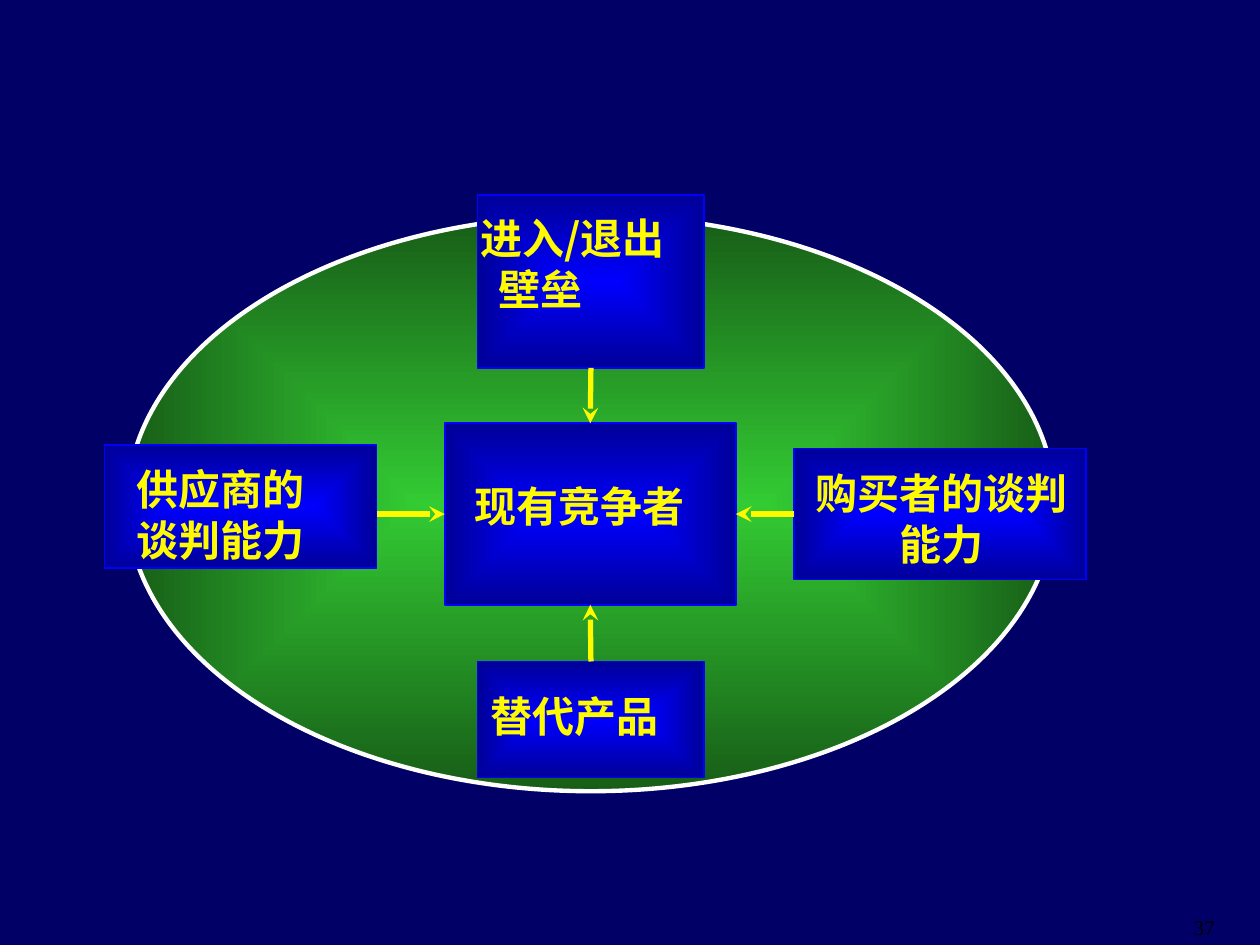
import pptx
import pptx.dml.color
import pptx.enum.shapes
import pptx.enum.text
import pptx.oxml
import pptx.oxml.ns
import pptx.util
from pptx.util import Inches

FONT = "Noto Sans CJK SC"
COLORS = {
    "background": "000066", "market_center": "33CB33", "market_edge": "175D17",
    "outline": "FFFFFF", "box_center": "0000FE", "box_edge": "000099",
    "accent": "FEFB00", "shadow": "000000", "number": "000000",
}
SHAPES = pptx.enum.shapes.MSO_SHAPE
ALIGN = pptx.enum.text.PP_ALIGN
TOP, LEFT, BOTTOM, RIGHT = range(4)

# Left, top, width, height of each box
BOXES = {
    "suppliers": (0.83, 3.53, 2.16, 0.98),
    "buyers": (6.3, 3.56, 2.32, 1.04),
    "barriers": (3.79, 1.55, 1.8, 1.37),
    "substitutes": (3.79, 5.25, 1.8, 0.92),
    "competitors": (3.53, 3.36, 2.31, 1.44),
}


def rgb(name):
    return pptx.dml.color.RGBColor.from_string(COLORS[name])


def xml(text):
    """Parse one element that uses the a: prefix."""
    namespace = pptx.oxml.ns.nsdecls("a")
    return pptx.oxml.parse_xml(f"<a:root {namespace}>{text}</a:root>")[0]


def add_glowing_shape(slide, kind, box, center, edge, line, line_width):
    """Add a shape whose gradient runs from its center to its edge."""
    shape = slide.shapes.add_shape(kind, *map(Inches, box))
    shape.shadow.inherit = False
    shape.line.color.rgb = rgb(line)
    shape.line.width = pptx.util.Pt(line_width)
    gradient = xml(
        '<a:gradFill rotWithShape="1"><a:gsLst>'
        f'<a:gs pos="0"><a:srgbClr val="{COLORS[center]}"/></a:gs>'
        f'<a:gs pos="100000"><a:srgbClr val="{COLORS[edge]}"/></a:gs></a:gsLst>'
        '<a:path path="rect"><a:fillToRect l="50000" t="50000" r="50000" b="50000"/>'
        '</a:path></a:gradFill>')
    shape._element.spPr.find(pptx.oxml.ns.qn("a:prstGeom")).addnext(gradient)
    return shape


def add_text(slide, lines, box, size=24, font=FONT, color="accent", bold=True,
             align=ALIGN.LEFT, spacing=None, after=0, indent=0, shadow=True):
    """Add one paragraph per line; indent applies to the lines after the first."""
    frame = slide.shapes.add_textbox(*map(Inches, box)).text_frame
    frame.word_wrap = True
    frame.margin_left = frame.margin_right = frame.margin_top = frame.margin_bottom = 0
    for index, line in enumerate(lines):
        paragraph = frame.paragraphs[0] if index == 0 else frame.add_paragraph()
        paragraph.alignment = align
        paragraph.line_spacing = spacing
        paragraph.space_after = pptx.util.Pt(after)
        if index and indent:
            properties = paragraph._p.get_or_add_pPr()
            properties.set("marL", str(Inches(indent)))
            properties.set("indent", "0")
        run = paragraph.add_run()
        run.text = line
        run.font.size = pptx.util.Pt(size)
        run.font.bold = bold
        run.font.color.rgb = rgb(color)
        run.font.name = font
        properties = run._r.get_or_add_rPr()
        latin = properties.find(pptx.oxml.ns.qn("a:latin"))
        latin.addnext(xml(f'<a:ea typeface="{font}"/>'))
        if shadow:
            latin.addprevious(xml(
                '<a:effectLst><a:outerShdw dist="25400" dir="2700000">'
                f'<a:srgbClr val="{COLORS["shadow"]}"/></a:outerShdw></a:effectLst>'))


def add_arrow(slide, start, target, target_side, source=None, source_side=None):
    """Draw an arrow into a side of the target, from a point or a side of the source."""
    x, y = map(Inches, start)
    arrow = slide.shapes.add_connector(
        pptx.enum.shapes.MSO_CONNECTOR.STRAIGHT, x, y, x, y)
    if source is not None:
        arrow.begin_connect(source, source_side)
    arrow.end_connect(target, target_side)
    arrow.line.color.rgb = rgb("accent")
    arrow.line.width = pptx.util.Pt(3)
    arrow.line._get_or_add_ln().append(xml('<a:tailEnd type="stealth"/>'))
    arrow._element.spPr.append(xml("<a:effectLst/>"))


def add_forces(slide):
    boxes = {
        name: add_glowing_shape(slide, SHAPES.RECTANGLE, box,
                                "box_center", "box_edge", "box_center", 1)
        for name, box in BOXES.items()
    }
    center = boxes["competitors"]
    add_arrow(slide, (2.99, 4.08), center, LEFT)
    add_arrow(slide, (6.3, 4.08), center, RIGHT, boxes["buyers"], LEFT)
    add_arrow(slide, (4.69, 5.25), center, BOTTOM, boxes["substitutes"], TOP)
    add_arrow(slide, (4.69, 2.92), center, TOP, boxes["barriers"], BOTTOM)


def add_labels(slide):
    stacked = {"spacing": 0.5, "after": 15}
    add_text(slide, ["替代产品"], (3.89, 5.48, 1.54, 0.4))
    add_text(slide, ["现有竞争者"], (3.77, 3.81, 1.97, 0.4))
    add_text(slide, ["进入/退出", "壁垒"], (3.81, 1.86, 1.85, 0.61), indent=0.15, **stacked)
    add_text(slide, ["供应商的", "谈判能力"], (0.83, 3.85, 1.84, 0.61),
             align=ALIGN.CENTER, **stacked)
    add_text(slide, ["购买者的谈判", "能力"], (6.29, 3.88, 2.36, 0.61),
             align=ALIGN.CENTER, **stacked)


def main():
    presentation = pptx.Presentation()
    presentation.slide_width = Inches(10)
    presentation.slide_height = Inches(7.5)
    slide = presentation.slides.add_slide(presentation.slide_layouts[6])
    slide.background.fill.solid()
    slide.background.fill.fore_color.rgb = rgb("background")
    add_glowing_shape(slide, SHAPES.OVAL, (1.01, 1.71, 7.36, 4.57),
                      "market_center", "market_edge", "outline", 2.5)
    add_forces(slide)
    add_labels(slide)
    add_text(slide, ["37"], (9.14, 7.26, 0.5, 0.2), size=12, font="Times New Roman",
             color="number", bold=False, align=ALIGN.RIGHT, shadow=False)
    presentation.save("out.pptx")


if __name__ == "__main__":
    main()
